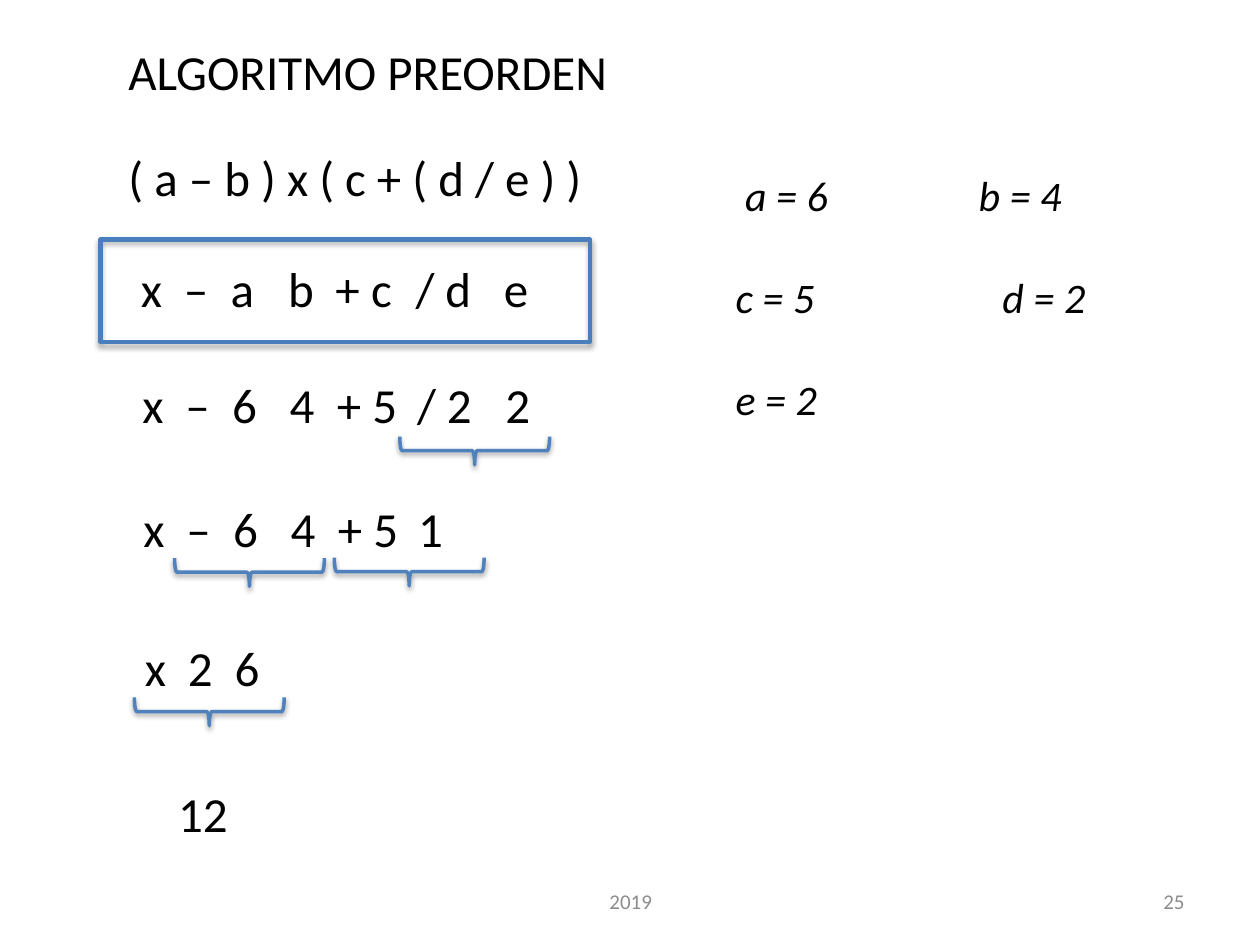
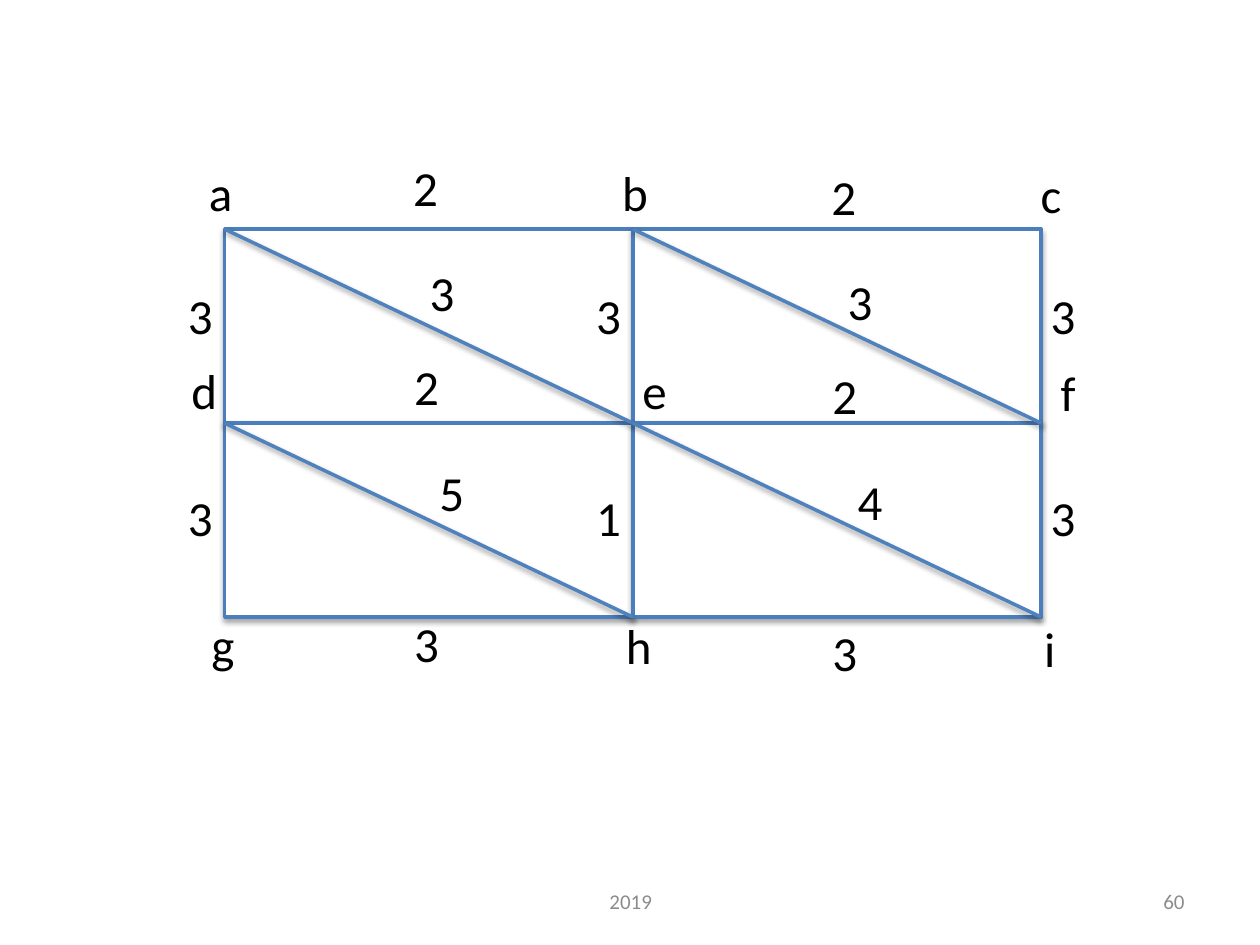
import pptx
import pptx.dml.color
import pptx.enum.shapes
import pptx.enum.text
import pptx.oxml
import pptx.oxml.ns
import pptx.util
from lxml import etree

Cm = pptx.util.Cm
Pt = pptx.util.Pt
RGBColor = pptx.dml.color.RGBColor
SHAPE = pptx.enum.shapes.MSO_SHAPE
ALIGN = pptx.enum.text.PP_ALIGN
ANCHOR = pptx.enum.text.MSO_ANCHOR

FONT = "Calibri"
BLACK = RGBColor(0x00, 0x00, 0x00)
WHITE = RGBColor(0xFF, 0xFF, 0xFF)
GRAY = RGBColor(0x8C, 0x8C, 0x8C)
LINE_BLUE = RGBColor(0x4F, 0x81, 0xBD)
BOX_BLUE = RGBColor(0x4B, 0x7E, 0xBC)

TOKEN_STOPS = [0.87, 1.81, 2.97, 3.92, 4.64, 5.54, 6.14, 7.32]

GRID_LEFT, GRID_TOP = 4.53, 4.62
CELL_WIDTH, CELL_HEIGHT = 8.23, 3.91
WEIGHT_STEP_X, WEIGHT_STEP_Y = 8.43, 0.19

# left and top of the first weight in each row of edges, then the weights
HORIZONTAL_WEIGHTS = [(8.08, 3.05, "22"), (8.1, 7.06, "22"), (8.1, 12.24, "33")]
DIAGONAL_WEIGHTS = [(8.41, 5.16, "33"), (8.61, 9.2, "54")]
VERTICAL_LEFTS = [3.54, 11.77, 20.93]
VERTICAL_WEIGHTS = [(5.64, "333"), (9.7, "313")]
NODES = {
    "a": (3.96, 3.15), "b": (12.29, 3.15), "c": (20.73, 3.2),
    "d": (3.61, 7.14), "e": (12.7, 7.14), "f": (21.13, 7.19),
    "g": (4.01, 12.27), "h": (12.37, 12.29), "i": (20.8, 12.34),
}


def set_tab_stops(paragraph, stops):
    tab_list = etree.SubElement(paragraph._p.get_or_add_pPr(),
                                pptx.oxml.ns.qn("a:tabLst"))
    for stop in stops:
        etree.SubElement(tab_list, pptx.oxml.ns.qn("a:tab"),
                         pos=str(Cm(stop)), algn="l")


def add_text(slide, left, top, width, height, lines, size=28, color=BLACK,
             italic=False, align=ALIGN.LEFT, anchor=ANCHOR.TOP,
             stops=(), gap=0):
    """Write lines; stops holds one list of tab positions for each line."""
    frame = slide.shapes.add_textbox(
        Cm(left), Cm(top), Cm(width), Cm(height)).text_frame
    frame.word_wrap = True
    frame.vertical_anchor = anchor
    frame.text = "\n".join(lines)
    for paragraph, line_stops in zip(frame.paragraphs, stops):
        set_tab_stops(paragraph, line_stops)
    for number, paragraph in enumerate(frame.paragraphs):
        paragraph.alignment = align
        if number and gap:
            paragraph.space_before = Pt(gap)
        for run in paragraph.runs:
            run.font.name = FONT
            run.font.size = Pt(size)
            run.font.italic = italic
            run.font.color.rgb = color


def outline(shape, color, width, opacity, distance):
    """Give a shape or connector its line and a soft shadow below it."""
    shape.line.color.rgb = color
    shape.line.width = Pt(width)
    shape._element.spPr.append(pptx.oxml.parse_xml(
        f'<a:effectLst {pptx.oxml.ns.nsdecls("a")}>'
        f'<a:outerShdw blurRad="40000" dist="{distance}" dir="5400000" '
        'rotWithShape="0"><a:srgbClr val="000000">'
        f'<a:alpha val="{opacity * 1000}"/></a:srgbClr>'
        '</a:outerShdw></a:effectLst>'))


def add_box(slide, left, top, width, height, line_width, fill=None):
    box = slide.shapes.add_shape(
        SHAPE.RECTANGLE, Cm(left), Cm(top), Cm(width), Cm(height))
    if fill is None:
        box.fill.background()
    else:
        box.fill.solid()
        box.fill.fore_color.rgb = fill
    outline(box, BOX_BLUE, line_width, 35, 23000)


def add_brace(slide, left, top):
    """Add a brace below an operation, with its point down."""
    depth, span = 0.57, 3.02
    brace = slide.shapes.add_shape(
        SHAPE.LEFT_BRACE, Cm(left + (span - depth) / 2),
        Cm(top - (span - depth) / 2), Cm(depth), Cm(span))
    brace.rotation = 270
    brace.fill.background()
    outline(brace, LINE_BLUE, 2, 38, 20000)


def add_diagonal(slide, left, top):
    diagonal = slide.shapes.add_connector(
        pptx.enum.shapes.MSO_CONNECTOR.STRAIGHT, Cm(left), Cm(top),
        Cm(left + CELL_WIDTH), Cm(top + CELL_HEIGHT))
    outline(diagonal, LINE_BLUE, 2, 38, 20000)


def add_prefix(slide, left, top, expression):
    """Write a prefix expression with its tokens in columns."""
    add_text(slide, left, top, 9.83, 1.45, ["\t".join(expression.split())],
             stops=[TOKEN_STOPS])


def add_label(slide, left, top, label):
    add_text(slide, left, top, 1.7, 1.45, [label])


def add_footer(slide, number):
    for left, width, text, align in [(8.69, 8.05, "2019", ALIGN.CENTER),
                                     (18.21, 5.92, number, ALIGN.RIGHT)]:
        add_text(slide, left, 17.65, width, 1.02, [text], size=12, color=GRAY,
                 align=align, anchor=ANCHOR.MIDDLE)


def build_preorder(slide):
    add_text(slide, 2.34, 0.71, 11.1, 1.45, ["ALGORITMO PREORDEN"])
    add_text(slide, 2.34, 2.84, 12.55, 1.45, ["( a – b ) x ( c + ( d / e ) )"])
    for left, top, expression in [(2.59, 5.08, "x – a b + c / d e"),
                                  (2.62, 7.42, "x – 6 4 + 5 / 2 2"),
                                  (2.64, 9.93, "x – 6 4 + 5 1"),
                                  (2.67, 12.73, "x 2 6")]:
        add_prefix(slide, left, top, expression)
    add_text(slide, 3.34, 15.67, 9.16, 1.45, ["12"])
    for left, top in [(8.06, 8.8), (3.52, 11.25), (6.74, 11.24), (2.71, 14.06)]:
        add_brace(slide, left, top)
    add_box(slide, 2.03, 4.83, 9.86, 2.06, 2.5)
    add_text(slide, 14.58, 3.3, 8.03, 5.38,
             ["\ta = 6\tb = 4", "c = 5\td = 2", "e = 2"], size=24, italic=True,
             stops=[[0.19, 4.9], [5.38]], gap=29.3)


def build_graph(slide):
    corners = [(GRID_LEFT + column * CELL_WIDTH, GRID_TOP + row * CELL_HEIGHT)
               for row in range(2) for column in range(2)]
    for left, top in corners:
        add_box(slide, left, top, CELL_WIDTH, CELL_HEIGHT, 2, WHITE)
    for left, top in corners:
        add_diagonal(slide, left, top)
    for left, top, weights in HORIZONTAL_WEIGHTS + DIAGONAL_WEIGHTS:
        for column, weight in enumerate(weights):
            add_label(slide, left + column * WEIGHT_STEP_X,
                      top + column * WEIGHT_STEP_Y, weight)
    for top, weights in VERTICAL_WEIGHTS:
        for left, weight in zip(VERTICAL_LEFTS, weights):
            add_label(slide, left, top, weight)
    for node, (left, top) in NODES.items():
        add_label(slide, left, top, node)


def main():
    presentation = pptx.Presentation()
    presentation.slide_width = Cm(25.4)
    presentation.slide_height = Cm(19.05)
    for build, number in [(build_preorder, "25"), (build_graph, "60")]:
        slide = presentation.slides.add_slide(presentation.slide_layouts[6])
        build(slide)
        add_footer(slide, number)
    presentation.save("out.pptx")


if __name__ == "__main__":
    main()
